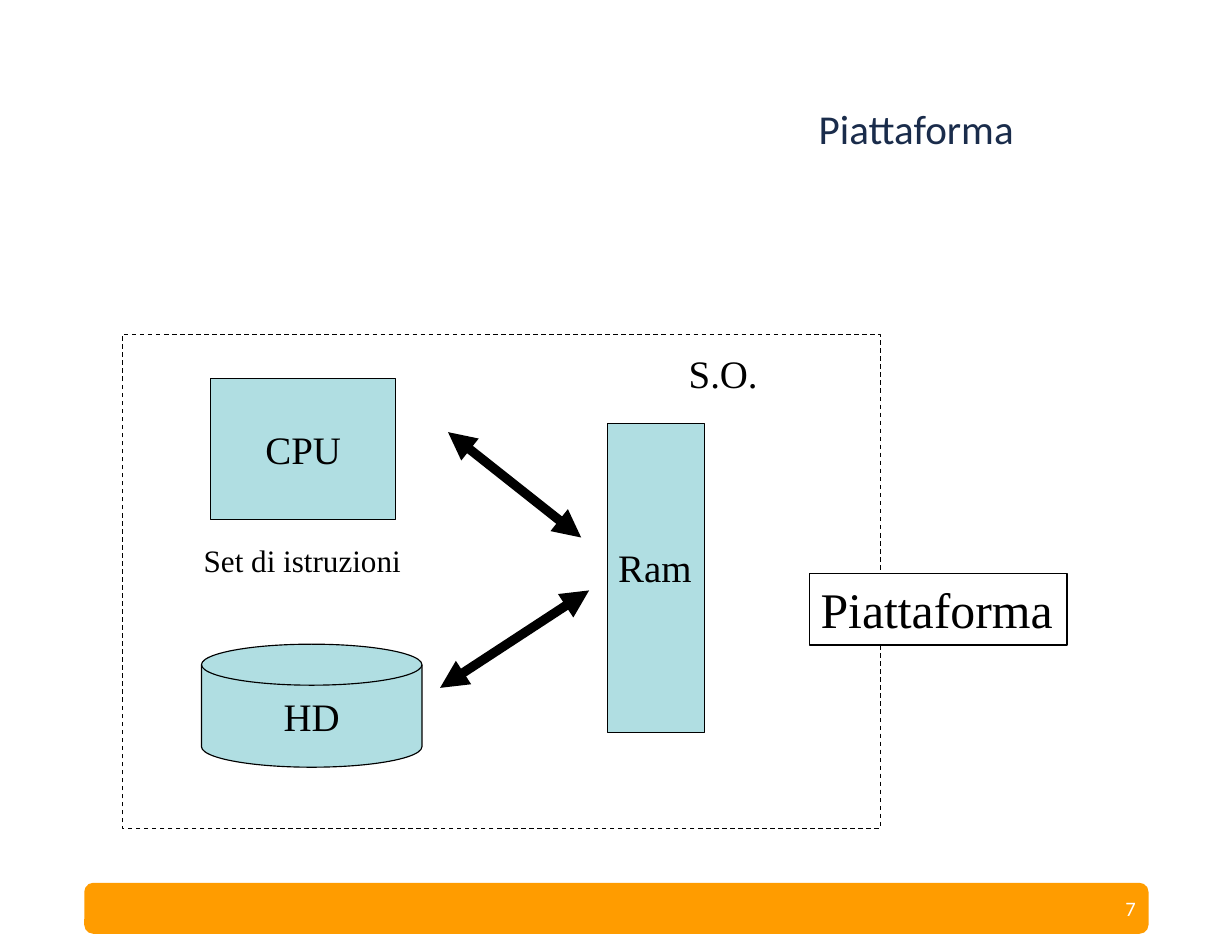
"""Build the slide that shows the parts of a computing platform."""
import pptx
import pptx.util
import pptx.dml.color
import pptx.enum.dml
import pptx.enum.shapes
import pptx.enum.text
import pptx.oxml
import pptx.oxml.ns
import lxml.etree

Cm, Pt = pptx.util.Cm, pptx.util.Pt
Kind = pptx.enum.shapes.MSO_SHAPE
Align = pptx.enum.text.PP_ALIGN
Anchor = pptx.enum.text.MSO_ANCHOR
qn = pptx.oxml.ns.qn


def paint(fmt, tone, alpha=None):
    fmt.solid()
    fmt.fore_color.rgb = pptx.dml.color.RGBColor.from_string(tone)
    if alpha:
        node = fmt._xPr.find(qn("a:solidFill"))[0]
        lxml.etree.SubElement(node, qn("a:alpha"), val=str(alpha * 1000))


def write(shape, text, size=25, font="Times New Roman", tone="000000",
          align=Align.CENTER, anchor=Anchor.MIDDLE, wrap=True,
          side=0.25, edge=0.13, space=1):
    frame = shape.text_frame
    frame.word_wrap = wrap
    frame.vertical_anchor = anchor
    frame.margin_left = frame.margin_right = Cm(side)
    frame.margin_top = frame.margin_bottom = Cm(edge)
    para = frame.paragraphs[0]
    para.alignment = align
    para.line_spacing = space
    run = para.add_run()
    run.text = text
    run.font.size = Pt(size)
    run.font.name = font
    paint(run.font.fill, tone)


deck = pptx.Presentation()
deck.slide_width, deck.slide_height = Cm(27.94), Cm(21.59)
slide = deck.slides.add_slide(deck.slide_layouts[6])
shapes = slide.shapes

bar = shapes.add_shape(Kind.ROUNDED_RECTANGLE, Cm(1.93), Cm(20.04), Cm(24.1), Cm(1.12))
bar.shadow.inherit = False
paint(bar.fill, "FF9C00")
paint(bar.line.fill, "FF9C00")
bar.line.width = Pt(1)

title = shapes.add_textbox(Cm(15.37), Cm(0.97), Cm(10.82), Cm(4.01))
write(title, "Piattaforma", size=26.4, font="Calibri", tone="1A2C4B",
      side=0.28, edge=0.15, space=0.9)
number = shapes.add_textbox(Cm(19.74), Cm(20.02), Cm(6.3), Cm(1.14))
write(number, "7", size=13.2, font="Calibri", tone="FFFFFF", align=Align.RIGHT,
      side=0.28, edge=0.15)

parts = [
    (Kind.RECTANGLE, 4.78, 8.59, 4.19, 3.2, "CPU"),
    (Kind.RECTANGLE, 13.77, 9.6, 2.21, 7.01, ""),
    (Kind.FLOWCHART_MAGNETIC_DISK, 4.57, 14.61, 5, 2.79, "HD"),
]
for kind, left, top, width, height, text in parts:
    part = shapes.add_shape(kind, Cm(left), Cm(top), Cm(width), Cm(height))
    part.shadow.inherit = False
    paint(part.fill, "8FD0D7", alpha=70)
    paint(part.line.fill, "000000")
    part.line.width = Pt(0.75)
    if text:
        write(part, text)

for x, y, end, base in [(10.16, 9.8, 13.18, 12.19), (9.98, 15.6, 13.36, 13.39)]:
    arrow = shapes.add_connector(pptx.enum.shapes.MSO_CONNECTOR.STRAIGHT,
                                 Cm(x), Cm(y), Cm(end), Cm(base))
    paint(arrow.line.fill, "000000")
    arrow.line.width = Pt(6)
    line = arrow.line._get_or_add_ln()
    for tag in ("a:headEnd", "a:tailEnd"):
        lxml.etree.SubElement(line, qn(tag), type="triangle")
    lxml.etree.SubElement(arrow._element.spPr, qn("a:effectLst"))

frame = shapes.add_shape(Kind.RECTANGLE, Cm(2.77), Cm(7.59), Cm(17.2), Cm(11.2))
frame.shadow.inherit = False
frame.fill.background()
paint(frame.line.fill, "000000")
frame.line.width = Pt(0.75)
frame.line.dash_style = pptx.enum.dml.MSO_LINE.DASH

labels = [
    ("Set di istruzioni", 20, 4.37, 12.14, 5.03, 1.12, False, False),
    ("Ram", 25, 13.77, 12.19, 2.18, 1.35, False, False),
    ("S.O.", 25, 15.37, 7.8, 2.11, 1.35, True, False),
    ("Piattaforma", 32, 18.36, 13, 5.84, 1.63, True, True),
]
for text, size, left, top, width, height, filled, lined in labels:
    label = shapes.add_textbox(Cm(left), Cm(top), Cm(width), Cm(height))
    write(label, text, size=size, align=Align.LEFT, anchor=Anchor.TOP, wrap=False)
    if filled:
        paint(label.fill, "FFFFFF")
    if lined:
        paint(label.line.fill, "000000")
        label.line.width = Pt(0.75)

deck.save("out.pptx")
